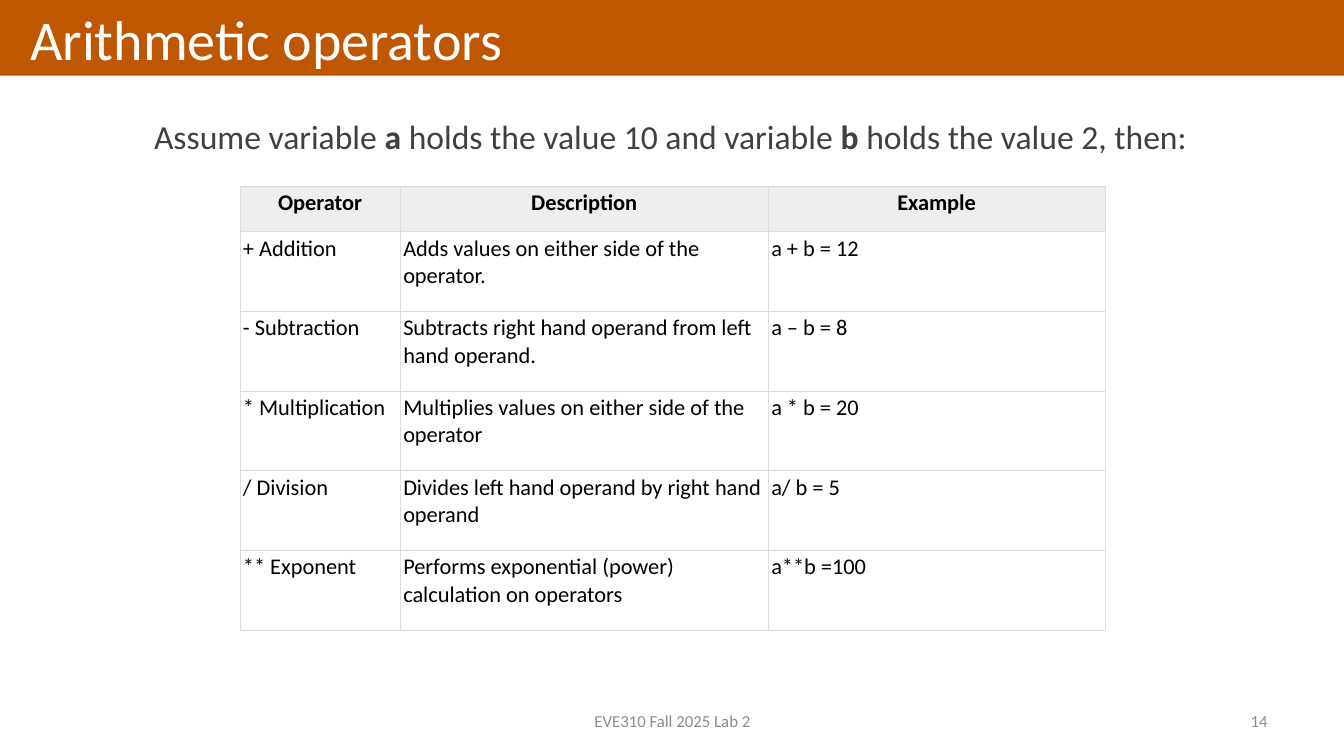
"""Build the slide on arithmetic operators in Python."""
from lxml import etree
from pptx import Presentation
from pptx.dml.color import RGBColor
from pptx.enum.shapes import MSO_SHAPE
from pptx.enum.text import MSO_ANCHOR, PP_ALIGN
from pptx.oxml.ns import qn
from pptx.util import Inches, Pt

LEFT, CENTER, RIGHT = PP_ALIGN.LEFT, PP_ALIGN.CENTER, PP_ALIGN.RIGHT
TOP, MIDDLE = MSO_ANCHOR.TOP, MSO_ANCHOR.MIDDLE
RECTANGLE = MSO_SHAPE.RECTANGLE
FONT = "Calibri"
COLORS = {
    "banner": "BF5700",
    "white": "FFFFFF",
    "intro": "404040",
    "footer": "8C8C8C",
    "header": "EEEEEE",
    "border": "DDDDDD",
    "black": "000000",
}


def add_runs(para, runs, size, color, align=LEFT):
    """Fill a paragraph with (text, bold) runs."""
    para.alignment = align
    for text, bold in runs:
        span = para.add_run()
        span.text = text
        span.font.name = FONT
        span.font.size = Pt(size)
        span.font.bold = bold
        span.font.color.rgb = RGBColor.from_string(COLORS[color])


def add_borders(cell):
    """Draw a thin line on all four sides of a cell."""
    properties = cell._tc.get_or_add_tcPr()
    for position, side in enumerate(("a:lnL", "a:lnR", "a:lnT", "a:lnB")):
        line = etree.Element(qn(side), w=str(Pt(0.6)))
        fill = etree.SubElement(line, qn("a:solidFill"))
        etree.SubElement(fill, qn("a:srgbClr"), val=COLORS["border"])
        properties.insert(position, line)


deck = Presentation()
deck.slide_width = Inches(13.33)
deck.slide_height = Inches(7.5)
page = deck.slides.add_slide(deck.slide_layouts[6])

banner = page.shapes.add_shape(RECTANGLE, 0, 0, deck.slide_width, Inches(0.75))
banner.shadow.inherit = False
banner.fill.solid()
banner.fill.fore_color.rgb = RGBColor.from_string(COLORS["banner"])
banner.line.fill.background()
banner.text_frame.margin_left = Inches(0.3)
banner.text_frame.vertical_anchor = MIDDLE
add_runs(banner.text_frame.paragraphs[0], [("Arithmetic operators", False)], 40, "white")

intro = [
    ("Assume variable ", False),
    ("a", True),
    (" holds the value 10 and variable ", False),
    ("b", True),
    (" holds the value 2, then:", False),
]
footer = [("EVE310 Fall 2025 Lab 2", False)]
number = [("14", False)]
text_boxes = [
    (1.43, 1.04, 10.47, 0.54, intro, 24, "intro", LEFT, TOP, 1.14),
    (4.56, 6.95, 4.22, 0.4, footer, 12, "footer", CENTER, MIDDLE, 1.0),
    (9.56, 6.95, 3.11, 0.4, number, 12, "footer", RIGHT, MIDDLE, 1.0),
]
for left, top, width, height, runs, size, color, align, anchor, spacing in text_boxes:
    box = page.shapes.add_textbox(Inches(left), Inches(top), Inches(width), Inches(height))
    box.text_frame.word_wrap = True
    box.text_frame.vertical_anchor = anchor
    para = box.text_frame.paragraphs[0]
    para.line_spacing = spacing
    add_runs(para, runs, size, color, align)

operators = [
    ("Operator", "Description", "Example"),
    ("+ Addition", "Adds values on either side of the operator.", "a + b = 12"),
    ("- Subtraction", "Subtracts right hand operand from left hand operand.", "a – b = 8"),
    ("* Multiplication", "Multiplies values on either side of the operator", "a * b = 20"),
    ("/ Division", "Divides left hand operand by right hand operand", "a/ b = 5"),
    ("** Exponent", "Performs exponential (power) calculation on operators", "a**b =100"),
]
column_widths = [1.59, 3.65, 3.34]
table = page.shapes.add_table(
    len(operators), len(column_widths), Inches(2.38), Inches(1.85), Inches(8.58), Inches(4.39)
).table
for column, width in zip(table.columns, column_widths):
    column.width = Inches(width)

for row_index, texts in enumerate(operators):
    is_header = row_index == 0
    table.rows[row_index].height = Inches(0.45 if is_header else 0.79)
    for column_index, text in enumerate(texts):
        cell = table.cell(row_index, column_index)
        cell.margin_left = cell.margin_right = Inches(0.03)
        cell.margin_top = cell.margin_bottom = Inches(0.03)
        if is_header:
            cell.fill.solid()
            cell.fill.fore_color.rgb = RGBColor.from_string(COLORS["header"])
        else:
            cell.fill.background()
        add_borders(cell)
        align = CENTER if is_header else LEFT
        add_runs(cell.text_frame.paragraphs[0], [(text, is_header)], 16, "black", align)

deck.save("out.pptx")
